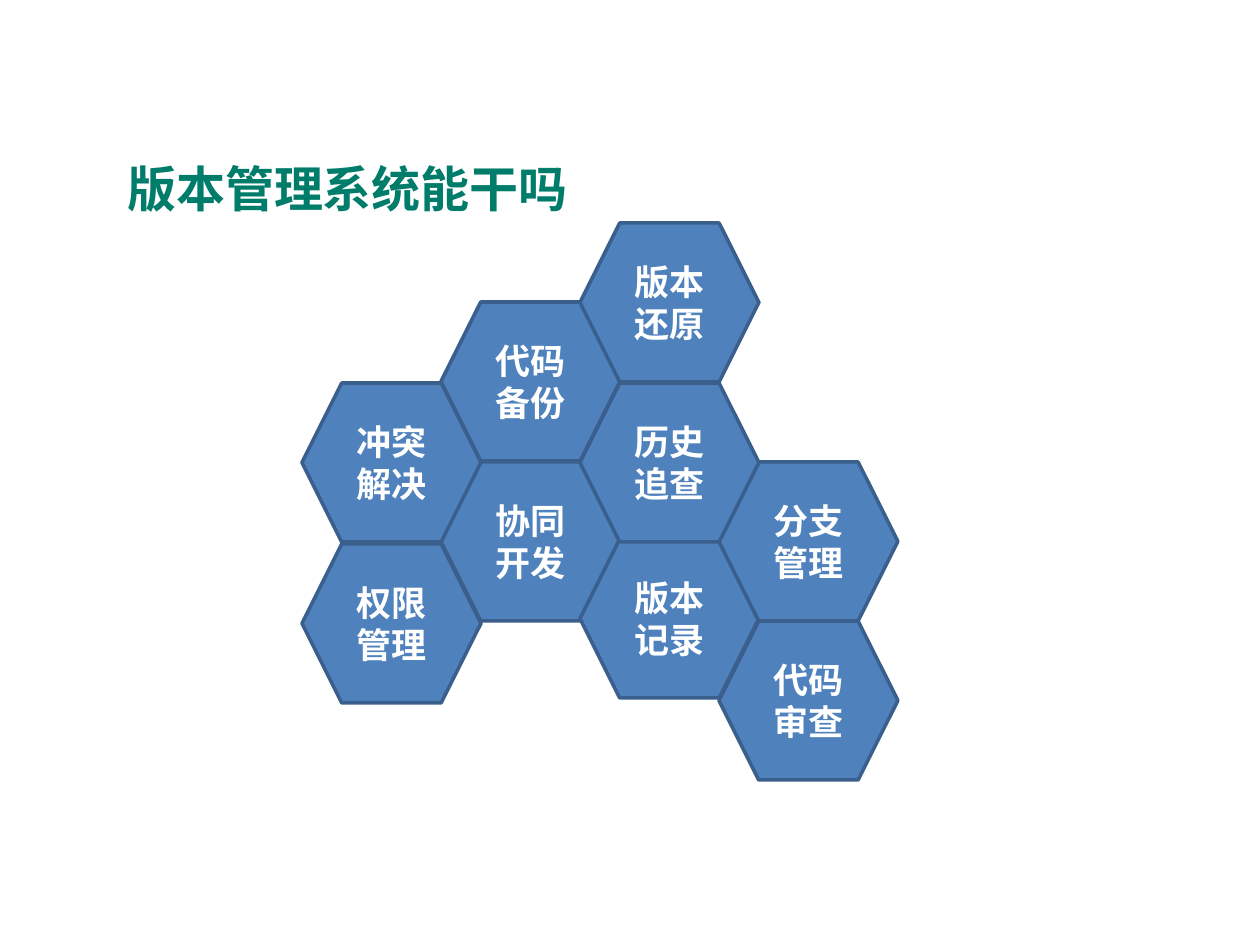
from dataclasses import dataclass

from lxml import etree
from pptx import Presentation
from pptx.dml.color import RGBColor
from pptx.enum.shapes import MSO_SHAPE
from pptx.enum.text import MSO_ANCHOR, MSO_AUTO_SIZE, PP_ALIGN
from pptx.oxml.ns import qn
from pptx.util import Emu, Pt

HEXAGON = MSO_SHAPE.HEXAGON
MIDDLE = MSO_ANCHOR.MIDDLE
CENTER = PP_ALIGN.CENTER
GROW = MSO_AUTO_SIZE.SHAPE_TO_FIT_TEXT
TITLE_ONLY = 5
PX_PER_INCH = 126


@dataclass(frozen=True)
class Theme:
    title_color: RGBColor = RGBColor.from_string("007C6A")
    fill: RGBColor = RGBColor.from_string("4F81BD")
    line: RGBColor = RGBColor.from_string("3A5F8C")
    label_color: RGBColor = RGBColor.from_string("FFFFFF")
    title_font: str = "Noto Sans CJK SC"
    label_font: str = "Calibri"
    title_size: int = 28
    label_size: int = 20
    line_width: int = 2


THEME = Theme()

HEX_WIDTH, HEX_HEIGHT = 179, 159
GRID_LEFT, COLUMN_STEP = 302, 139
# (label, column, top)
FEATURES = [
    ("代码\n备份", 1, 302),
    ("协同开发", 1, 462),
    ("冲突解决", 0, 383),
    ("版本记录", 2, 539),
    ("分支管理", 3, 462),
    ("权限管理", 0, 544),
    ("代码审查", 3, 621),
    ("历史追查", 2, 383),
    ("版本还原", 2, 223),
]


def px(n):
    return Emu(round(n * 914400 / PX_PER_INCH))


def style_paragraph(p, name, size, color):
    p.alignment = CENTER
    p.font.name = name
    p.font.size = Pt(size)
    p.font.bold = True
    p.font.color.rgb = color


def add_title(s, text, left, top, width, height):
    sp = s.shapes.title
    sp.left, sp.top, sp.width, sp.height = map(px, (left, top, width, height))
    tf = sp.text_frame
    tf.text = text
    tf.word_wrap = True
    tf.auto_size = GROW
    tf.vertical_anchor = MIDDLE
    tf.margin_left = tf.margin_right = px(5)
    tf.margin_top = tf.margin_bottom = px(3)
    p = tf.paragraphs[0]
    style_paragraph(p, THEME.title_font, THEME.title_size, THEME.title_color)
    # East Asian glyphs take their typeface from a:ea
    latin = p._p.find(".//" + qn("a:latin"))
    ea = etree.Element(qn("a:ea"), typeface=THEME.title_font)
    latin.addnext(ea)


def add_hexagon(s, text, column, top):
    left = GRID_LEFT + column * COLUMN_STEP
    sp = s.shapes.add_shape(HEXAGON, px(left), px(top), px(HEX_WIDTH), px(HEX_HEIGHT))
    sp.shadow.inherit = False
    sp.fill.solid()
    sp.fill.fore_color.rgb = THEME.fill
    sp.line.color.rgb = THEME.line
    sp.line.width = Pt(THEME.line_width)
    tf = sp.text_frame
    tf.text = text
    tf.word_wrap = True
    tf.vertical_anchor = MIDDLE
    for p in tf.paragraphs:
        style_paragraph(p, THEME.label_font, THEME.label_size, THEME.label_color)


def main():
    prs = Presentation()
    prs.slide_width, prs.slide_height = px(1260), px(945)
    s = prs.slides.add_slide(prs.slide_layouts[TITLE_ONLY])
    add_title(s, "版本管理系统能干吗", 39, 156, 617, 64)
    for text, column, top in FEATURES:
        add_hexagon(s, text, column, top)
    prs.save("out.pptx")


if __name__ == "__main__":
    main()
